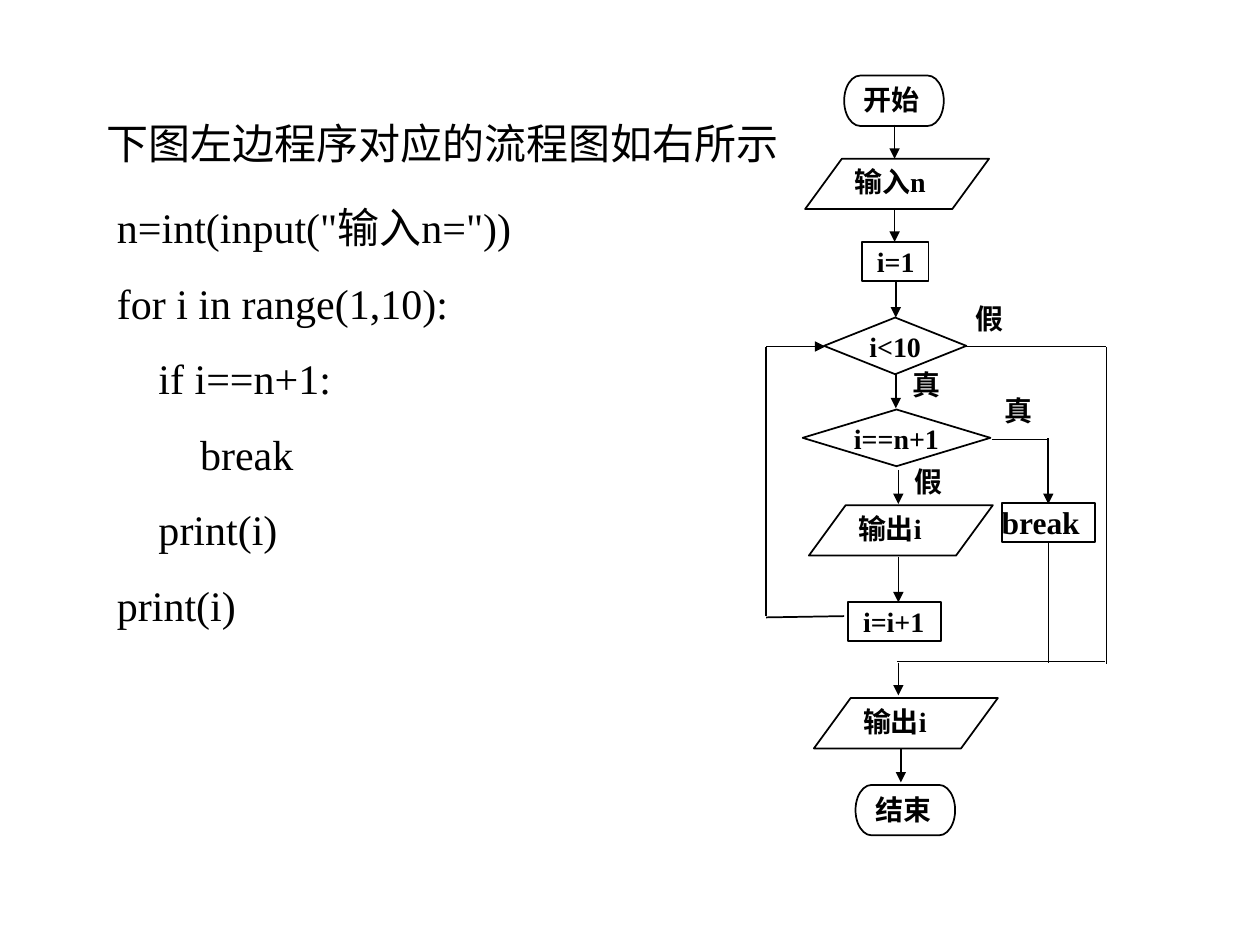
from lxml.etree import SubElement
from pptx import Presentation
from pptx.dml.color import RGBColor
from pptx.enum.shapes import MSO_CONNECTOR, MSO_SHAPE
from pptx.enum.text import MSO_ANCHOR, PP_ALIGN
from pptx.oxml.ns import qn
from pptx.util import Inches, Pt

BLACK = RGBColor(0, 0, 0)
WHITE = RGBColor(255, 255, 255)
SERIF = "Times New Roman"
SANS = "Noto Sans CJK SC"
INDENT = Inches(0.33)

TITLE = "下图左边程序对应的流程图如右所示"
CODE = [
    (0, 'n=int(input("输入n="))'),
    (0, "for i in range(1,10):"),
    (1, "if i==n+1:"),
    (2, "break"),
    (1, "print(i)"),
    (0, "print(i)"),
]
BRANCH_LABELS = [
    ("假", 7.2, 3.69),
    ("假", 7.68, 2.39),
    ("真", 7.18, 2.92),
    ("真", 7.91, 3.12),
]
TERMINATORS = [("开始", 6.7, 0.6), ("结束", 6.79, 6.23)]
INPUTS_OUTPUTS = [("输入n", 6.39, 1.26), ("输出i", 6.42, 4.01), ("输出i", 6.46, 5.54)]
DECISIONS = [("i<10", 6.54, 2.52, 1.13), ("i==n+1", 6.37, 3.25, 1.49)]
STEPS = [("i=1", 6.84, 1.92, 0.53), ("i=i+1", 6.73, 4.78, 0.74)]
ARROWS = [
    (7.1, 0.99, 7.1, 1.26),
    (7.1, 1.66, 7.1, 1.92),
    (7.11, 2.23, 7.11, 2.52),
    (7.11, 2.97, 7.11, 3.24),
    (7.13, 3.73, 7.13, 4),
    (7.13, 4.42, 7.13, 4.78),
    (7.13, 5.26, 7.13, 5.52),
    (7.15, 5.94, 7.15, 6.21),
    (8.32, 3.48, 8.32, 4),
]
THIN_LINES = [
    (6.08, 4.89, 6.08, 2.75),
    (7.64, 2.75, 8.78, 2.75),
    (8.78, 5.27, 8.78, 2.75),
    (7.12, 5.25, 8.77, 5.25),
    (8.32, 5.26, 8.32, 4.3),
    (7.87, 3.49, 8.32, 3.49),
]


def style_font(font, size, name=SERIF, bold=False):
    """Apply the black lettering used throughout."""
    font.name = name
    font.size = Pt(size)
    font.bold = bold
    font.color.rgb = BLACK


def add_text(page, place, lines):
    """Add a text box from (indent level, text) lines."""
    frame = page.shapes.add_textbox(*map(Inches, place)).text_frame
    frame.word_wrap = True
    for index, (level, text) in enumerate(lines):
        para = frame.paragraphs[0] if index == 0 else frame.add_paragraph()
        para.text = text
        para.line_spacing = 1.5
        style_font(para.font, 24)
        if level:
            properties = para._p.get_or_add_pPr()
            properties.set("marL", str(level * INDENT))
            properties.set("indent", "0")


def add_node(page, kind, text, place, margins=(0, 0), size=16, name=SERIF,
             outlined=True, centred=False):
    """Add a flowchart shape with left and top text margins in inches."""
    node = page.shapes.add_shape(kind, *map(Inches, place))
    node.shadow.inherit = False
    if centred:
        node.fill.background()
    else:
        node.fill.solid()
        node.fill.fore_color.rgb = WHITE
    if outlined:
        node.line.color.rgb = BLACK
        node.line.width = Pt(1)
    else:
        node.line.fill.background()
    frame = node.text_frame
    frame.word_wrap = True
    frame.margin_left, frame.margin_top = map(Inches, margins)
    frame.margin_right = frame.margin_bottom = 0
    frame.vertical_anchor = MSO_ANCHOR.MIDDLE if centred else MSO_ANCHOR.TOP
    para = frame.paragraphs[0]
    para.text = text
    para.alignment = PP_ALIGN.CENTER if centred else PP_ALIGN.LEFT
    style_font(para.font, size, name, True)


def add_line(page, ends, width=1, arrow=False):
    """Add a straight connector, with an arrowhead at its end if asked."""
    line = page.shapes.add_connector(MSO_CONNECTOR.STRAIGHT, *map(Inches, ends))
    line.line.color.rgb = BLACK
    line.line.width = Pt(width)
    if arrow:
        SubElement(line.line._get_or_add_ln(), qn("a:tailEnd"), type="triangle")
    SubElement(line._element.spPr, qn("a:effectLst"))


def add_flowchart(page):
    """Draw the labels, nodes and lines of the flowchart."""
    for text, left, top in BRANCH_LABELS:
        add_node(page, MSO_SHAPE.RECTANGLE, text, (left, top, 0.39, 0.31),
                 (0.06, 0), outlined=False)
    for text, left, top in TERMINATORS:
        add_node(page, MSO_SHAPE.FLOWCHART_TERMINATOR, text,
                 (left, top, 0.79, 0.4), (0.12, 0), name=SANS)
    for text, left, top in INPUTS_OUTPUTS:
        add_node(page, MSO_SHAPE.FLOWCHART_DATA, text,
                 (left, top, 1.46, 0.4), (0.1, 0.05))
    for text, left, top, width in DECISIONS:
        add_node(page, MSO_SHAPE.DIAMOND, text, (left, top, width, 0.45),
                 centred=True)
    for text, left, top, width in STEPS:
        add_node(page, MSO_SHAPE.RECTANGLE, text, (left, top, width, 0.31),
                 (0.12, 0.02))
    add_node(page, MSO_SHAPE.RECTANGLE, "break", (7.95, 3.99, 0.74, 0.31), size=18)
    for ends in ARROWS:
        add_line(page, ends, arrow=True)
    for ends in THIN_LINES:
        add_line(page, ends, 0.75)
    add_line(page, (6.08, 4.9, 6.7, 4.89))
    add_line(page, (6.08, 2.75, 6.55, 2.75), 0.75, arrow=True)


def main():
    """Build the slide and save it."""
    deck = Presentation()
    deck.slide_width, deck.slide_height = Inches(10), Inches(7.5)
    page = deck.slides.add_slide(deck.slide_layouts[6])
    add_text(page, (0.83, 1.35, 3.54, 3.7), CODE)
    add_text(page, (0.75, 0.68, 5.6, 0.63), [(0, TITLE)])
    add_flowchart(page)
    deck.save("out.pptx")


if __name__ == "__main__":
    main()
